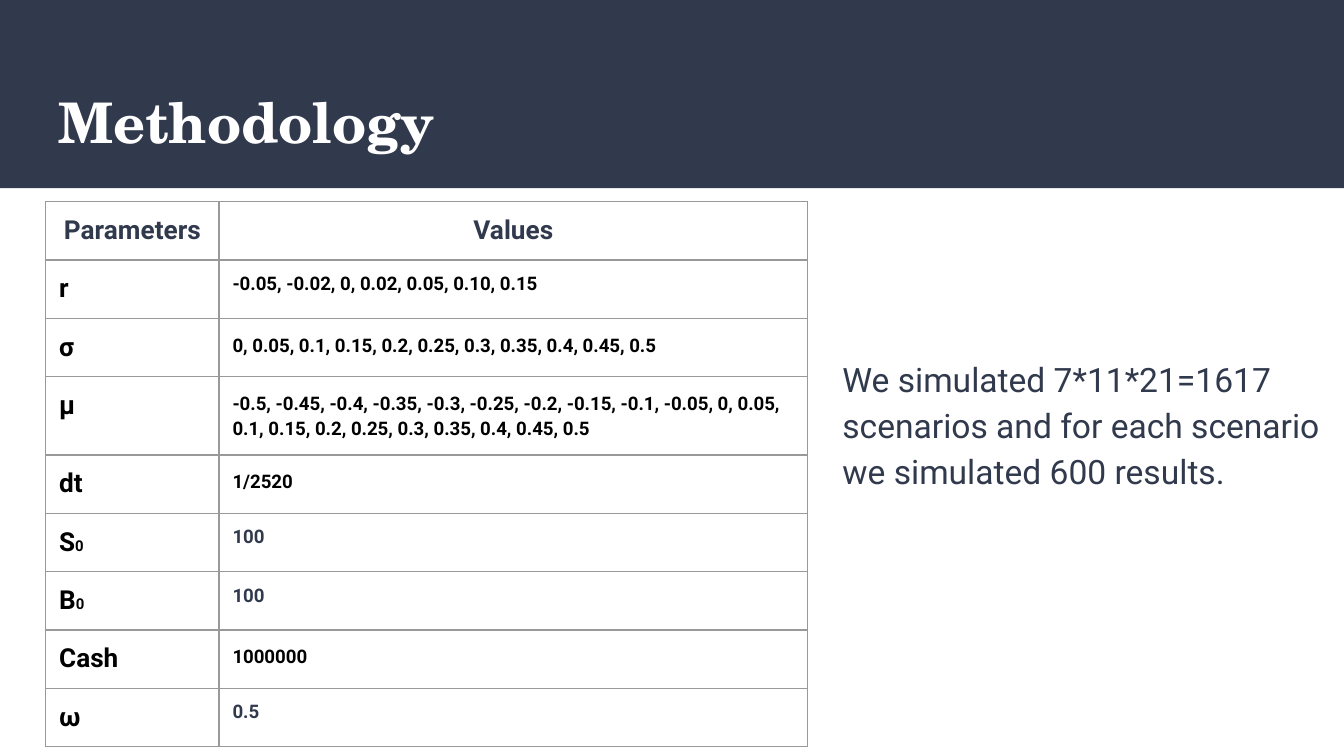
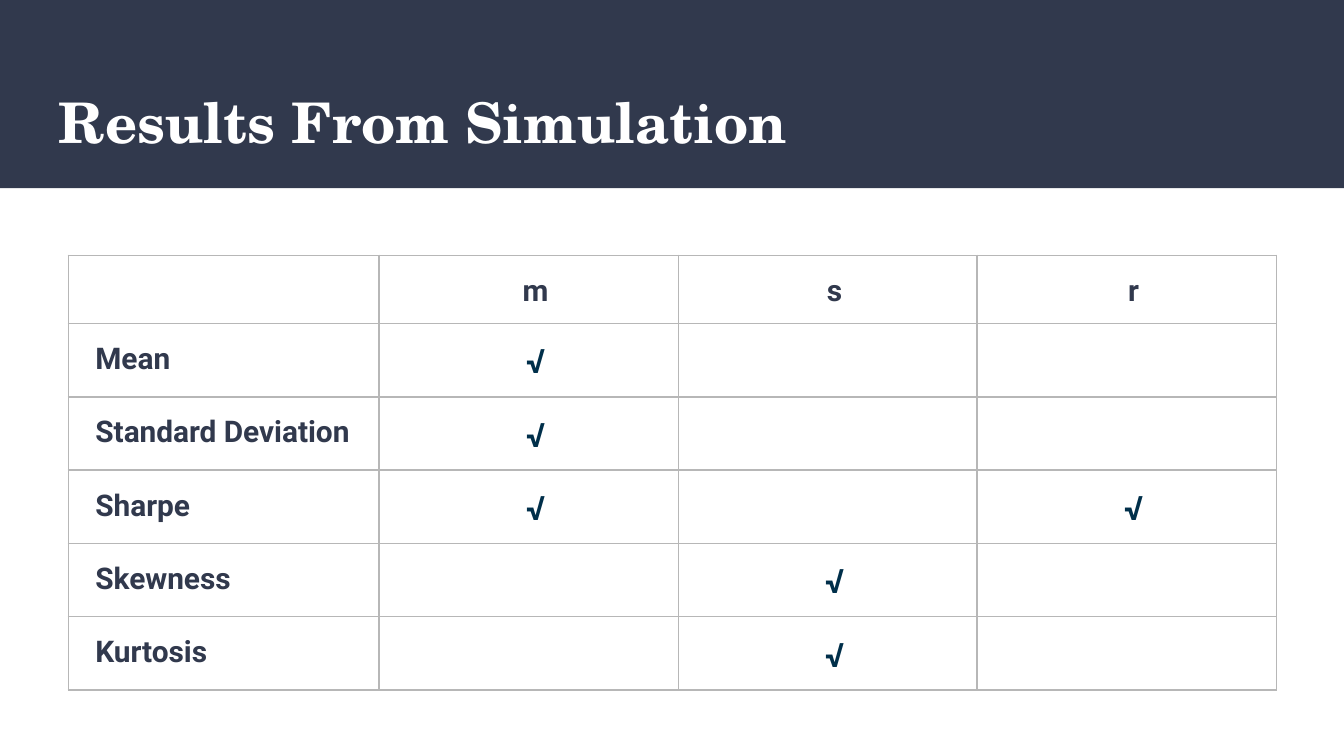
"""Build the methodology and simulation results slides."""
from lxml import etree
from pptx import Presentation
from pptx import util as u
from pptx.dml.color import RGBColor
from pptx.enum import shapes, text
from pptx.oxml import ns

NAVY, WHITE, BLACK, TICK_BLUE = "31394D", "FFFFFF", "000000", "002F4A"
BODY_FONT, TITLE_FONT = "Roboto", "TeX Gyre Schola"
INSET = u.Inches(0.1)
TABLE_SIDE = u.Inches(3.28)
LOOSE = 1.15
CENTER = text.PP_ALIGN.CENTER

PARAMETERS = [
    ("r", "-0.05, -0.02, 0, 0.02, 0.05, 0.10, 0.15", BLACK, None),
    ("σ", "0, 0.05, 0.1, 0.15, 0.2, 0.25, 0.3, 0.35, 0.4, 0.45, 0.5", BLACK, LOOSE),
    ("μ", "-0.5, -0.45, -0.4, -0.35, -0.3, -0.25, -0.2, -0.15, -0.1, -0.05, 0, 0.05, "
          "0.1, 0.15, 0.2, 0.25, 0.3, 0.35, 0.4, 0.45, 0.5", BLACK, LOOSE),
    ("dt", "1/2520", BLACK, LOOSE),
    ("S0", "100", NAVY, None),
    ("B0", "100", NAVY, None),
    ("Cash", "1000000", BLACK, LOOSE),
    ("ω", "0.5", NAVY, None),
]
FACTORS = ["m", "s", "r"]
MEASURES = [("Mean", "m"), ("Standard Deviation", "m"), ("Sharpe", "mr"),
            ("Skewness", "s"), ("Kurtosis", "s")]


def color(value):
    """Turn a hex string into a colour."""
    return RGBColor.from_string(value)


def add_span(para, words, size, ink=NAVY, bold=True, font=BODY_FONT):
    """Add one styled run to a paragraph."""
    span = para.add_run()
    span.text = words
    span.font.size = u.Pt(size)
    span.font.name = font
    span.font.bold = bold
    span.font.color.rgb = color(ink)


def set_insets(holder):
    """Give a text frame or cell equal margins."""
    holder.margin_left = holder.margin_right = INSET
    holder.margin_top = holder.margin_bottom = INSET


def add_text_box(page, box, anchor):
    """Add a wrapping text box and return its first paragraph."""
    frame = page.shapes.add_textbox(*map(u.Inches, box)).text_frame
    frame.word_wrap = True
    frame.vertical_anchor = anchor
    set_insets(frame)
    return frame.paragraphs[0]


def add_page(deck, title):
    """Add a page with the navy band and its title."""
    page = deck.slides.add_slide(deck.slide_layouts[6])
    band = page.shapes.add_shape(shapes.MSO_SHAPE.RECTANGLE, 0, 0,
                                 deck.slide_width, u.Inches(1.4))
    band.shadow.inherit = False
    band.fill.solid()
    band.fill.fore_color.rgb = color(NAVY)
    band.line.fill.background()
    para = add_text_box(page, (0.34, 0.55, 9.32, 0.68), text.MSO_ANCHOR.TOP)
    add_span(para, title, 30, WHITE, font=TITLE_FONT)
    return page


def set_borders(cell, ink, width):
    """Draw a solid line on all four sides of a cell."""
    properties = cell._tc.get_or_add_tcPr()
    for side in ("a:lnL", "a:lnR", "a:lnT", "a:lnB"):
        line = etree.SubElement(properties, ns.qn(side), w=str(u.Pt(width)))
        fill = etree.SubElement(line, ns.qn("a:solidFill"))
        etree.SubElement(fill, ns.qn("a:srgbClr"), val=ink)


def add_grid(page, left, top, widths, row_count, row_height, ink, line_width):
    """Add a plain ruled table whose rows grow with their text."""
    frame = page.shapes.add_table(row_count, len(widths), u.Inches(left),
                                  u.Inches(top), TABLE_SIDE, TABLE_SIDE)
    table = frame.table
    table.first_row = table.horz_banding = False
    for column, width in zip(table.columns, widths):
        column.width = u.Inches(width)
    for row in table.rows:
        row.height = u.Inches(row_height)
    frame.width = frame.height = TABLE_SIDE
    for cell in table.iter_cells():
        set_insets(cell)
        set_borders(cell, ink, line_width)
        cell.fill.background()
    return table


def cell_para(table, row, column, align=None, spacing=None, indent=0):
    """Return the formatted first paragraph of a cell."""
    para = table.cell(row, column).text_frame.paragraphs[0]
    para.alignment = align
    para.line_spacing = spacing
    if indent:
        properties = para._p.get_or_add_pPr()
        properties.set("marL", "0")
        properties.set("indent", str(u.Inches(indent)))
    return para


def add_parameter_table(page, left, top):
    """List each simulation parameter with its values."""
    table = add_grid(page, left, top, [1.29, 4.38], len(PARAMETERS) + 1, 0.33,
                     "999999", 0.75)
    for column, heading in enumerate(("Parameters", "Values")):
        add_span(cell_para(table, 0, column, CENTER), heading, 14)
    for row, (name, values, ink, spacing) in enumerate(PARAMETERS, 1):
        para = cell_para(table, row, 0)
        add_span(para, name.rstrip("0"), 14, BLACK)
        if name.endswith("0"):
            add_span(para, "0", 8, BLACK)
        add_span(cell_para(table, row, 1, spacing=spacing), values, 10, ink)


def add_result_table(page, left, top):
    """Tick the factors that drive each measure."""
    table = add_grid(page, left, top, [2.31, 2.23, 2.22, 2.23], len(MEASURES) + 1,
                     0.41, "B7B7B7", 1)
    for column, factor in enumerate(FACTORS, 1):
        add_span(cell_para(table, 0, column, CENTER, LOOSE, 0.1), factor, 16)
    for row, (measure, drivers) in enumerate(MEASURES, 1):
        add_span(cell_para(table, row, 0, None, LOOSE, 0.1), measure, 16)
        for driver in drivers:
            column = FACTORS.index(driver) + 1
            para = cell_para(table, row, column, CENTER, LOOSE, 0.1)
            add_span(para, "√", 18, TICK_BLUE)


def add_methodology(deck):
    """Build the methodology page."""
    page = add_page(deck, "Methodology")
    para = add_text_box(page, (6.17, 2.17, 4, 1.94), text.MSO_ANCHOR.MIDDLE)
    para.line_spacing = LOOSE
    add_span(para, "We simulated 7*11*21=1617 scenarios and for each scenario "
                   "we simulated 600 results.", 18, bold=False)
    add_parameter_table(page, 0.34, 1.5)


def add_results(deck):
    """Build the results page."""
    page = add_page(deck, "Results From Simulation")
    add_result_table(page, 0.51, 1.9)


def main():
    """Assemble and save the deck."""
    deck = Presentation()
    deck.slide_width = u.Inches(10)
    deck.slide_height = deck.slide_width * 9 // 16
    add_methodology(deck)
    add_results(deck)
    deck.save("out.pptx")


if __name__ == "__main__":
    main()
